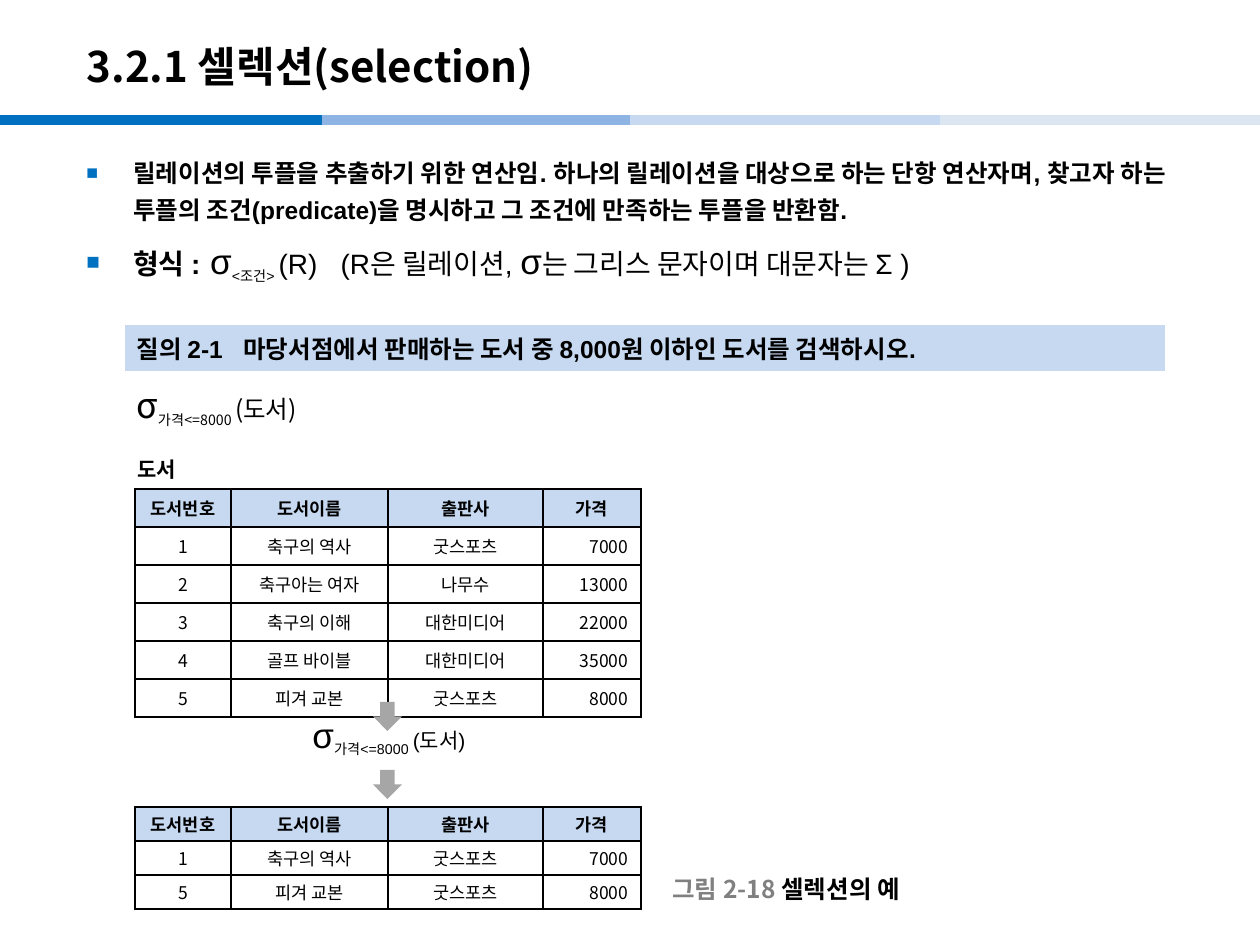
from lxml.etree import SubElement
from pptx import Presentation
from pptx.dml.color import RGBColor
from pptx.enum.shapes import MSO_CONNECTOR, MSO_SHAPE
from pptx.enum.text import MSO_ANCHOR, PP_ALIGN
from pptx.oxml.ns import qn
from pptx.util import Emu, Pt

BLACK = RGBColor(0, 0, 0)
WHITE = RGBColor(255, 255, 255)
GRAY = RGBColor(0x80, 0x80, 0x80)
ARROW_GRAY = RGBColor(0xA6, 0xA6, 0xA6)
BLUE = RGBColor(0x00, 0x70, 0xC0)
PALE_BLUE = RGBColor(0xC6, 0xD9, 0xF1)
BAR_COLORS = [BLUE, RGBColor(0x8E, 0xB4, 0xE3), PALE_BLUE, RGBColor(0xDC, 0xE6, 0xF2)]
ARIAL = "Arial"
NOTO = "Noto Sans CJK KR"

HEADER = ["도서번호", "도서이름", "출판사", "가격"]
BOOKS = [
    ["1", "축구의 역사", "굿스포츠", "7000"],
    ["2", "축구아는 여자", "나무수", "13000"],
    ["3", "축구의 이해", "대한미디어", "22000"],
    ["4", "골프 바이블", "대한미디어", "35000"],
    ["5", "피겨 교본", "굿스포츠", "8000"],
]
COLUMN_WIDTHS = [96, 157, 155, 98]


def px(value):
    return Emu(round(value * 914400 / 126))


def add_text(paragraph, text, size=14, font=ARIAL, color=BLACK, bold=False, baseline=0):
    run = paragraph.add_run()
    run.text = text
    run.font.size = Pt(size)
    run.font.name = font
    run.font.bold = bold
    run.font.color.rgb = color
    properties = run.font._element
    SubElement(properties, qn("a:ea")).set("typeface", NOTO)
    if baseline:
        properties.set("baseline", str(baseline * 1000))


def add_box(slide, left, top, width, height, wrap=False, anchor=MSO_ANCHOR.TOP):
    box = slide.shapes.add_textbox(px(left), px(top), px(width), px(height))
    box.text_frame.word_wrap = wrap
    box.text_frame.vertical_anchor = anchor
    return box.text_frame


def add_selection(paragraph, font, size):
    add_text(paragraph, "σ", size=20, font=font)
    add_text(paragraph, "가격<=8000 ", font=font, baseline=-25)
    add_text(paragraph, "(도서)", size=size, font=font)


def add_bullet(paragraph):
    paragraph.line_spacing = 1.24
    paragraph.space_before = Pt(3)
    properties = paragraph._p.get_or_add_pPr()
    properties.set("marL", str(px(47)))
    properties.set("indent", str(-px(47)))
    color = SubElement(properties, qn("a:buClr"))
    SubElement(color, qn("a:srgbClr")).set("val", str(BLUE))
    SubElement(properties, qn("a:buSzPct")).set("val", "80000")
    SubElement(properties, qn("a:buFont")).set("typeface", ARIAL)
    SubElement(properties, qn("a:buChar")).set("char", "■")


def add_heading(slide, left, top, width, height):
    title = slide.shapes.title
    title.left, title.top, title.width, title.height = map(px, (left, top, width, height))
    title.text_frame.vertical_anchor = MSO_ANCHOR.MIDDLE
    paragraph = title.text_frame.paragraphs[0]
    paragraph.alignment = PP_ALIGN.LEFT
    add_text(paragraph, "3.2.1 셀렉션(selection)", size=24, font=NOTO, bold=True)


def add_color_bar(slide, top, right):
    for left, color in zip([0, 322, 630, 940], BAR_COLORS):
        bar = slide.shapes.add_connector(
            MSO_CONNECTOR.STRAIGHT, px(left), px(top), px(min(left + 322, right)), px(top))
        bar.line.color.rgb = color
        bar.line.width = Pt(6)
        SubElement(bar._element.spPr, qn("a:effectLst"))


def add_body(slide, left, top, width, height):
    frame = add_box(slide, left, top, width, height, wrap=True)
    definition = frame.paragraphs[0]
    add_bullet(definition)
    add_text(definition, "릴레이션의 투플을 추출하기 위한 연산임. 하나의 릴레이션을 대상으로 하는 "
             "단항 연산자며, 찾고자 하는 투플의 조건(predicate)을 명시하고 그 조건에 "
             "만족하는 투플을 반환함.", bold=True)
    notation = frame.add_paragraph()
    add_bullet(notation)
    add_text(notation, "형식 :", size=16, bold=True)
    add_text(notation, " σ", size=20)
    add_text(notation, "<조건> ", baseline=-25)
    add_text(notation, "(R)   (R은 릴레이션, ", size=16)
    add_text(notation, "σ", size=20)
    add_text(notation, "는 그리스 문자이며 대문자는 Σ )", size=16)


def add_grid(slide, left, top, widths, heights):
    frame = slide.shapes.add_table(
        len(heights), len(widths), px(left), px(top), px(sum(widths)), px(sum(heights)))
    table = frame.table
    table.first_row = table.horz_banding = False
    for column, width in zip(table.columns, widths):
        column.width = px(width)
    for row, height in zip(table.rows, heights):
        row.height = px(height)
    return table


def add_query(slide, left, top, width):
    table = add_grid(slide, left, top, [width], [48, 63])
    question, answer = table.cell(0, 0), table.cell(1, 0)
    for cell, color in ((question, PALE_BLUE), (answer, WHITE)):
        cell.fill.solid()
        cell.fill.fore_color.rgb = color
    question.vertical_anchor = MSO_ANCHOR.MIDDLE
    add_text(question.text_frame.paragraphs[0],
             "질의 2-1   마당서점에서 판매하는 도서 중 8,000원 이하인 도서를 검색하시오.", bold=True)
    add_selection(answer.text_frame.paragraphs[0], NOTO, 14)


def add_borders(cell):
    properties = cell._tc.get_or_add_tcPr()
    for side in ("lnL", "lnR", "lnT", "lnB"):
        line = SubElement(properties, qn("a:" + side))
        line.set("w", str(Pt(1)))
        fill = SubElement(line, qn("a:solidFill"))
        SubElement(fill, qn("a:srgbClr")).set("val", str(BLACK))


def add_book_table(slide, left, top, books, row_height, margin):
    rows = [HEADER] + books
    table = add_grid(slide, left, top, COLUMN_WIDTHS, [row_height] * len(rows))
    for row_index, row in enumerate(rows):
        for column_index, value in enumerate(row):
            is_header = row_index == 0
            cell = table.cell(row_index, column_index)
            cell.margin_top = cell.margin_bottom = px(margin)
            add_borders(cell)
            if is_header:
                cell.fill.solid()
                cell.fill.fore_color.rgb = PALE_BLUE
            else:
                cell.fill.background()
            paragraph = cell.text_frame.paragraphs[0]
            is_price = column_index == 3 and not is_header
            paragraph.alignment = PP_ALIGN.RIGHT if is_price else PP_ALIGN.CENTER
            add_text(paragraph, value, size=10, font=NOTO, bold=is_header)


def add_down_arrow(slide, left, top, size):
    arrow = slide.shapes.add_shape(MSO_SHAPE.DOWN_ARROW, px(left), px(top), px(size), px(size))
    arrow.shadow.inherit = False
    arrow.fill.solid()
    arrow.fill.fore_color.rgb = ARROW_GRAY
    arrow.line.fill.background()


def add_example(slide, left, top):
    add_book_table(slide, left, top, BOOKS, 38, 6)
    label = add_box(slide, left - 10, top - 39, 68, 38)
    add_text(label.paragraphs[0], "도서", size=12, bold=True)
    for offset in (213, 281):
        add_down_arrow(slide, left + 238, top + offset, 29)
    operation = add_box(slide, left + 165, top + 218, 205, 55)
    add_selection(operation.paragraphs[0], ARIAL, 12)
    add_book_table(slide, left, top + 318, [BOOKS[0], BOOKS[4]], 34, 4)
    caption = add_box(slide, left + 525, top + 380, 258, 39, anchor=MSO_ANCHOR.MIDDLE)
    add_text(caption.paragraphs[0], "그림 2-18 ", font=NOTO, color=GRAY, bold=True)
    add_text(caption.paragraphs[0], "셀렉션의 예", font=NOTO, bold=True)


presentation = Presentation()
presentation.slide_width, presentation.slide_height = px(1260), px(945)
slide = presentation.slides.add_slide(presentation.slide_layouts[5])
add_color_bar(slide, 120, 1260)
add_heading(slide, 74, 28, 1042, 76)
add_body(slide, 74, 145, 1111, 753)
add_query(slide, 124, 324, 1042)
add_example(slide, 135, 489)
presentation.save("out.pptx")
